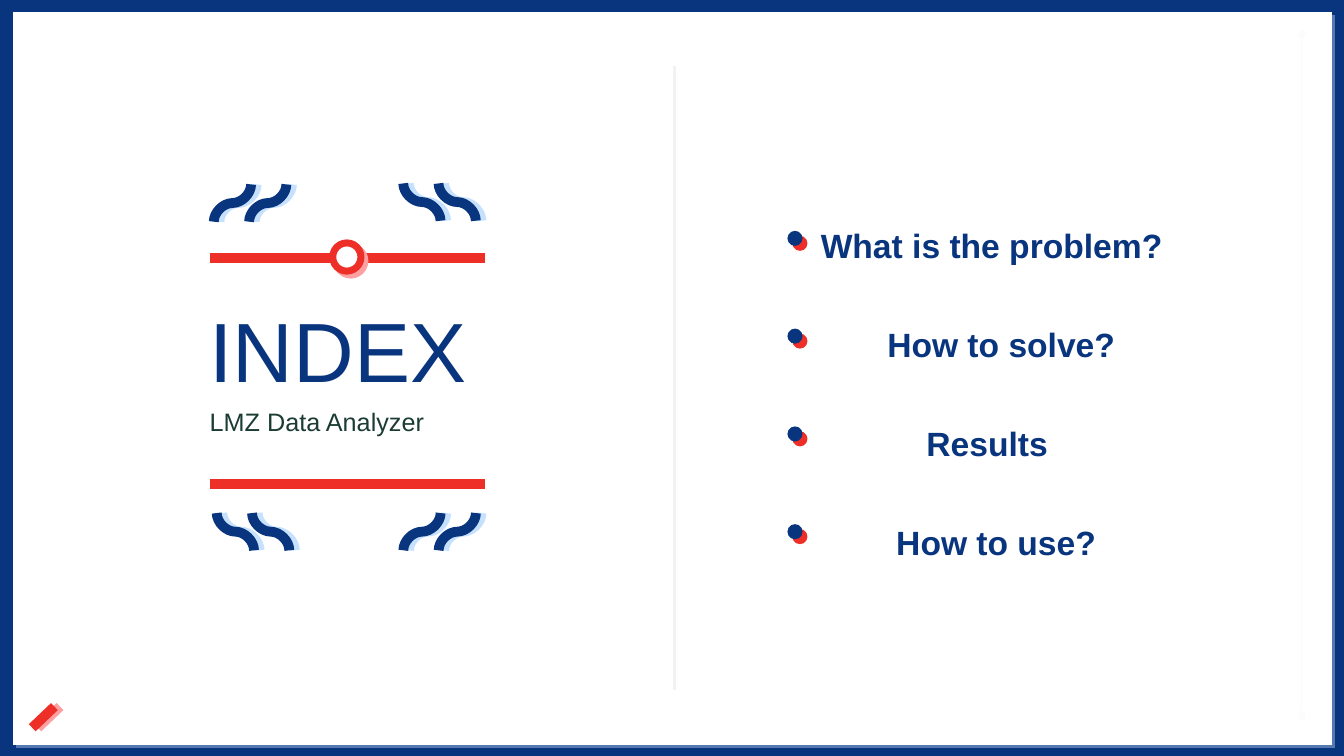
from pptx import Presentation
from pptx import util as u
from pptx.dml.color import RGBColor
from pptx.enum import shapes, text
from pptx.oxml.ns import qn
from lxml import etree

NAVY = RGBColor(0x09, 0x34, 0x7E)
RED = RGBColor(0xEE, 0x2F, 0x27)
PINK = RGBColor(0xFC, 0xA0, 0xA1)
SKY = RGBColor(0xC6, 0xE1, 0xFE)
GREEN = RGBColor(0x1B, 0x3C, 0x33)
GREY = RGBColor(0xF2, 0xF2, 0xF2)
WHITE = RGBColor(0xFF, 0xFF, 0xFF)
LINE, CURVE = shapes.MSO_CONNECTOR.STRAIGHT, shapes.MSO_CONNECTOR.CURVE
RECT, OVAL = shapes.MSO_SHAPE.RECTANGLE, shapes.MSO_SHAPE.OVAL
LEFT, MID = text.PP_ALIGN.JUSTIFY, text.PP_ALIGN.CENTER


def node(parent, tag, **vals):
    item = etree.SubElement(parent, qn(tag))
    for key, val in vals.items():
        item.set(key, str(val))
    return item


class Deck:
    face = "Arial"
    space = 1.2
    frame = {"margin_left": 0, "margin_right": 0, "margin_top": 0,
             "margin_bottom": 0, "word_wrap": True,
             "auto_size": text.MSO_AUTO_SIZE.NONE,
             "vertical_anchor": text.MSO_ANCHOR.MIDDLE}

    def __init__(self):
        self.prs = Presentation()
        self.prs.slide_width = u.Inches(13.33)
        self.prs.slide_height = u.Inches(7.5)
        self.slide = self.prs.slides.add_slide(self.prs.slide_layouts[3])
        fill = self.slide.background.fill
        fill.solid()
        fill.fore_color.rgb = NAVY

    def shade(self, item, shadow):
        """Shadow is (colour, opacity %, distance in points, angle)."""
        fx = node(item._element.spPr, "a:effectLst")
        if shadow:
            tint, alpha, dist, angle = shadow
            drop = node(fx, "a:outerShdw", blurRad=0, dist=u.Pt(dist),
                        dir=angle * 60000, algn="tl", rotWithShape=0)
            clr = node(drop, "a:srgbClr", val=tint)
            node(clr, "a:alpha", val=alpha * 1000)

    def shape(self, kind, box, color, shadow, edge=None):
        item = self.slide.shapes.add_shape(kind, *map(u.Inches, box))
        item.fill.solid()
        item.fill.fore_color.rgb = color
        if edge:
            item.line.color.rgb, item.line.width = edge[0], u.Pt(edge[1])
        else:
            item.line.fill.background()
        self.shade(item, shadow)

    def line(self, ends, color, width, shadow=None, kind=LINE):
        item = self.slide.shapes.add_connector(kind, *map(u.Inches, ends))
        item.line.color.rgb = color
        item.line.width = u.Pt(width)
        self.shade(item, shadow)
        return item

    def wave(self, x, y, rise, size=0.37):
        ends = (x, y, x + size, y + size) if rise else (x + size, y, x, y + size)
        item = self.line(ends, NAVY, 7, (SKY, 100, 4, 0), CURVE)
        item._element.spPr.xfrm.set("rot", str((90 if rise else 270) * 60000))

    def words(self, slot, box, rows, size, color, align, bold=False, gap=0):
        """Rows are (text, left indent in inches)."""
        item = self.slide.placeholders[slot]
        for key, val in zip(("left", "top", "width", "height"), box):
            setattr(item, key, u.Inches(val))
        body = item.text_frame
        for key, val in self.frame.items():
            setattr(body, key, val)
        for i, (row, indent) in enumerate(rows):
            para = body.add_paragraph() if i else body.paragraphs[0]
            look = {"alignment": align, "line_spacing": self.space,
                    "space_before": u.Pt(gap if i else 0), "space_after": u.Pt(0)}
            for key, val in look.items():
                setattr(para, key, val)
            props = para._p.get_or_add_pPr()
            props.set("marL", str(u.Inches(indent)))
            props.set("indent", "0")
            node(props, "a:buNone")
            run = para.add_run()
            run.text = row
            for key, val in {"name": self.face, "size": u.Pt(size), "bold": bold}.items():
                setattr(run.font, key, val)
            run.font.color.rgb = color
        # Bring the text in front of the panel
        self.slide.shapes._spTree.append(item._element)


def main():
    deck = Deck()

    # White panel
    deck.shape(RECT, (0.13, 0.12, 13.08, 7.27), WHITE, (SKY, 40, 3, 45))

    # Red rules and ring around the title
    for y in (4.8, 2.56):
        deck.line((2.08, y, 4.81, y), RED, 7)
    deck.shape(OVAL, (3.3, 2.41, 0.28, 0.28), WHITE, (PINK, 100, 4, 45), (RED, 5))

    # Faint rule at the right edge
    edge = deck.line((12.91, 0.34, 12.91, 7.1), GREY, 1)
    ln = edge.line._get_or_add_ln()
    node(ln.find(".//" + qn("a:srgbClr")), "a:alpha", val=22000)
    for tag in ("a:headEnd", "a:tailEnd"):
        node(ln, tag, type="oval")

    # Pairs of waves in the four corners
    for x, y, rise in ((4, 5.09, True), (2.12, 1.83, True),
                       (4, 1.82, False), (2.15, 5.09, False)):
        for step in (0.35, 0):
            deck.wave(x + step, y, rise)

    # Divider
    deck.line((6.69, 0.65, 6.69, 6.85), GREY, 2.5)

    # Title, subtitle and list
    deck.words(0, (2.08, 3.05, 2.73, 0.62), [("INDEX", 0)], 60, NAVY, LEFT)
    deck.words(1, (2.08, 3.98, 2.73, 0.34), [("LMZ Data Analyzer", 0)], 18, GREEN, LEFT)
    topics = [("What is the problem?", 0.09), ("How to solve?", 0.28),
              ("Results", 0), ("How to use?", 0.18)]
    deck.words(2, (7.65, 1.98, 4.28, 3.77), topics, 24, NAVY, MID, True, 36)

    # Dot beside each topic
    for i in range(len(topics)):
        deck.shape(OVAL, (7.81, 2.29 + 0.97 * i, 0.15, 0.15), NAVY, (RED, 100, 5, 45))

    # Corner dash
    deck.line((0.54, 7.01, 0.32, 7.22), RED, 7, (PINK, 100, 4, 0))

    deck.prs.save("out.pptx")


if __name__ == "__main__":
    main()
